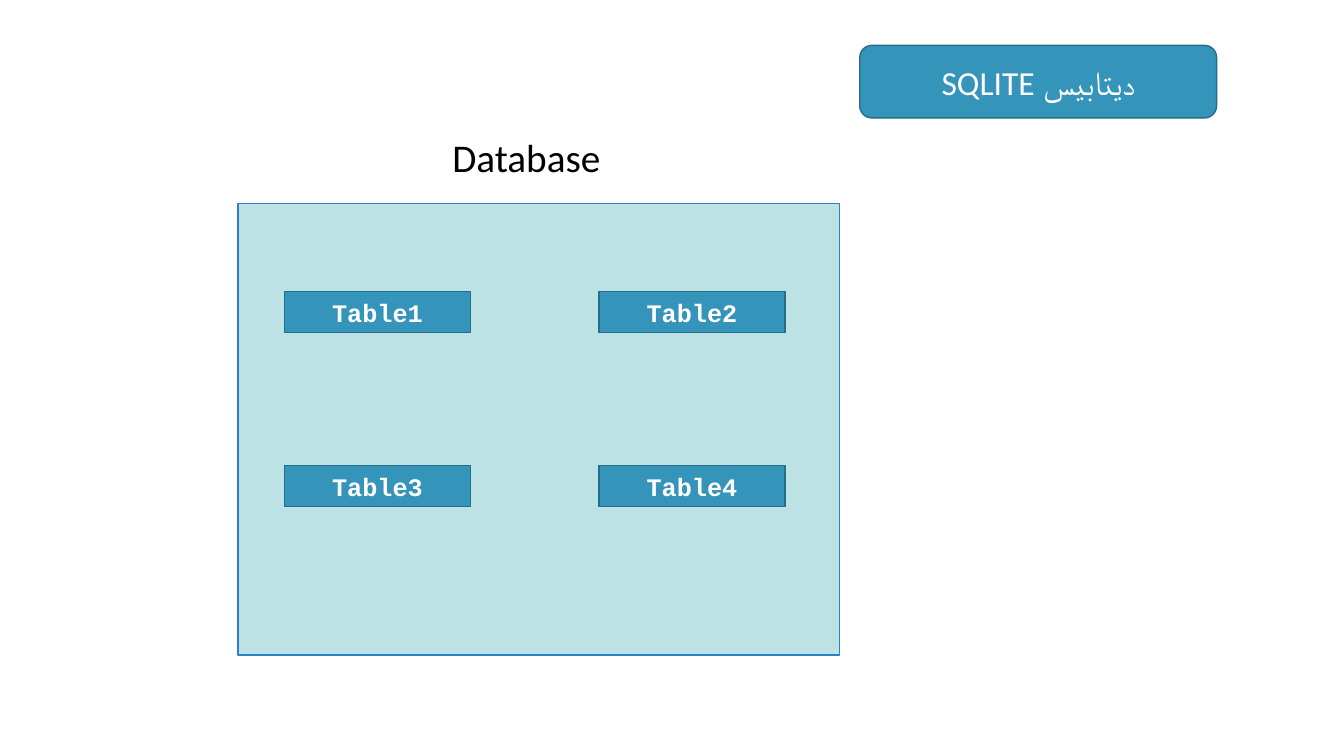
from pptx import Presentation
from pptx.dml.color import RGBColor
from pptx.enum.shapes import MSO_SHAPE as Kind
from pptx.enum.text import MSO_ANCHOR as Anchor, MSO_AUTO_SIZE as Fit, PP_ALIGN as Align
from pptx.util import Pt

TITLE = "دیتابیس SQLITE"
LABEL = "Database"
TABLES = [["Table1", "Table2"], ["Table3", "Table4"]]

COLORS = {
    "blue": "3494BA",
    "edge": "266D8A",
    "panel": "BCE2E6",
    "rim": "2683C6",
    "white": "FFFFFF",
    "black": "000000",
}

# left, top, width, height in points
TITLE_BOX = (614.16, 32.4, 254.88, 51.84)
PANEL_BOX = (169.92, 145.44, 429.84, 322.56)
LABEL_BOX = (316.08, 91.44, 138.96, 41.04)
LEFT, TOP, WIDE, HIGH = 179.28, 160.56, 180.72, 124.56
STEP = 224.64


def color(name):
    return RGBColor.from_string(COLORS[name])


def add_shape(kind, box, fill="blue", line="edge"):
    shape = slide.shapes.add_shape(kind, *map(Pt, box))
    shape.shadow.inherit = False
    shape.fill.solid()
    shape.fill.fore_color.rgb = color(fill)
    shape.line.color.rgb = color(line)
    shape.line.width = Pt(1)
    return shape


def write(shape, text, size, ink="white", face="Calibri", bold=False, align=Align.CENTER):
    frame = shape.text_frame
    frame.word_wrap = True
    frame.vertical_anchor = Anchor.MIDDLE
    para = frame.paragraphs[0]
    para.text = text
    para.alignment = align
    font = para.font
    font.name, font.size, font.bold = face, Pt(size), bold
    font.color.rgb = color(ink)
    return para


deck = Presentation()
deck.slide_width, deck.slide_height = Pt(960), Pt(540)
slide = deck.slides.add_slide(deck.slide_layouts[6])

title = write(add_shape(Kind.ROUNDED_RECTANGLE, TITLE_BOX), TITLE, 24)
title._p.get_or_add_pPr().set("rtl", "1")

add_shape(Kind.RECTANGLE, PANEL_BOX, "panel", "rim")

label = slide.shapes.add_textbox(*map(Pt, LABEL_BOX))
write(label, LABEL, 28, "black", align=Align.LEFT)
label.text_frame.vertical_anchor = Anchor.TOP
label.text_frame.auto_size = Fit.SHAPE_TO_FIT_TEXT

for row, names in enumerate(TABLES):
    for col, name in enumerate(names):
        box = (LEFT + col * STEP, TOP + row * HIGH, WIDE, HIGH)
        write(add_shape(Kind.MATH_MINUS, box), name, 18, face="Courier New", bold=True)

deck.save("out.pptx")
